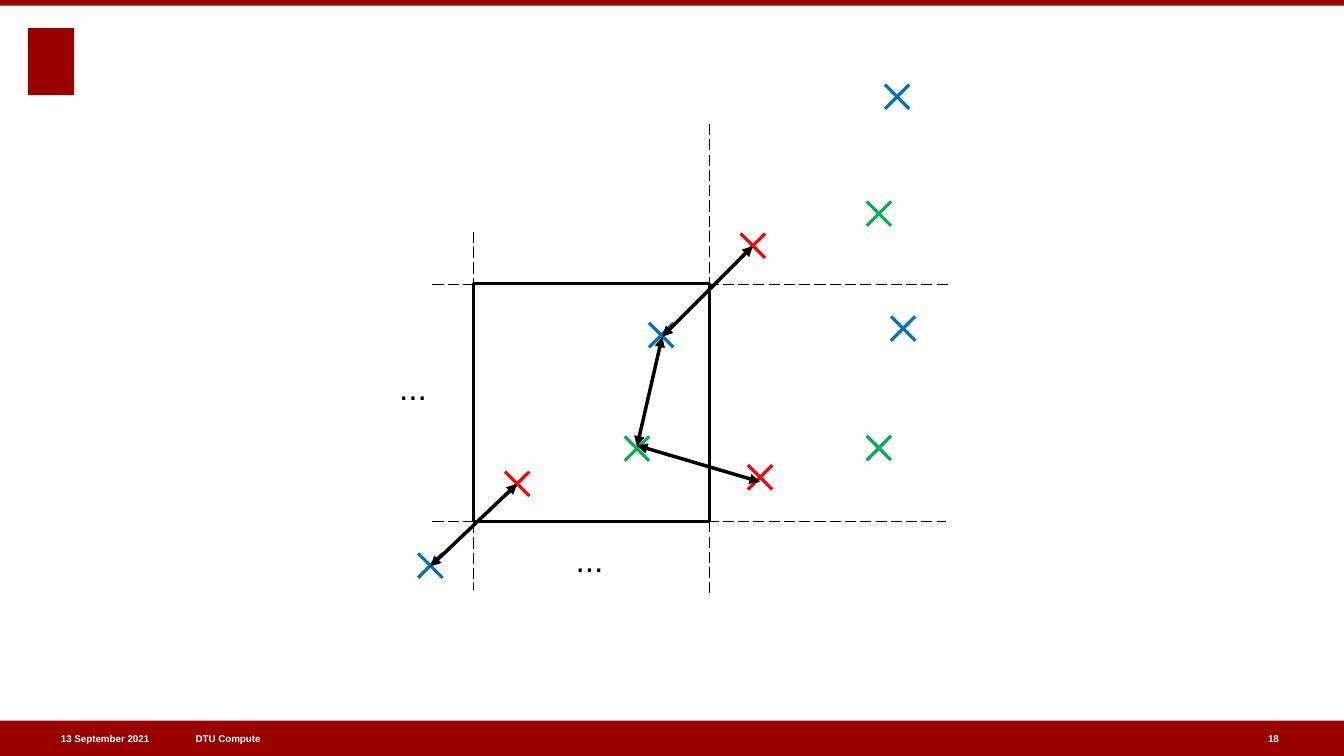
import pptx
import pptx.dml.color
import pptx.enum.dml
import pptx.enum.shapes
import pptx.enum.text
import pptx.oxml
import pptx.oxml.ns
import pptx.util

Pt = pptx.util.Pt
FONT = "Arial"
CRIMSON, WHITE, BLACK = "990000", "FFFFFF", "000000"
RED, GREEN, BLUE = "FF0000", "00B050", "0070C0"
SLIDE_WIDTH, SLIDE_HEIGHT = 960, 540
FOOTER_TOP, FOOTER_HEIGHT = 514.8, 25.2
CROSS_REACH = 8.7

# Box that repeats in every direction
CELL_LEFT, CELL_TOP, CELL_RIGHT, CELL_BOTTOM = 338.4, 202.3, 506.9, 372.6

# Centre and colour of each cross
CROSSES = [
    (472.3, 239.4, BLUE),
    (369.4, 345.6, RED),
    (455, 320.4, GREEN),
    (640.8, 69.1, BLUE),
    (537.8, 175.5, RED),
    (627.8, 152.6, GREEN),
    (645.1, 234.7, BLUE),
    (542.9, 340.9, RED),
    (627.8, 320, GREEN),
    (307.4, 404, BLUE),
]

# Dashed extensions of the cell edges
DASHED_EDGES = [
    (CELL_RIGHT, 88.6, CELL_RIGHT, 424.8),
    (308.9, CELL_BOTTOM, 675.4, CELL_BOTTOM),
    (CELL_LEFT, 165.6, CELL_LEFT, 421.2),
    (308.9, 203.2, 676.8, 203.2),
]

# Nearest-neighbour links
LINKS = [
    (307.4, 404.6, 369.4, 345.6),
    (473, 240.5, 537.8, 175.7),
    (455, 319, 473, 240.5),
    (455, 318.2, 542.9, 344.2),
]


def color(value):
    return pptx.dml.color.RGBColor.from_string(value)


def add_rectangle(shapes, left, top, width, height, fill=None, outline=None):
    kind = pptx.enum.shapes.MSO_SHAPE.RECTANGLE
    box = shapes.add_shape(kind, Pt(left), Pt(top), Pt(width), Pt(height))
    box.shadow.inherit = False
    if fill:
        box.fill.solid()
        box.fill.fore_color.rgb = color(fill)
    else:
        box.fill.background()
    if outline:
        box.line.color.rgb = color(outline)
        box.line.width = Pt(2.25)
    else:
        box.line.fill.background()


def add_line(shapes, ends, stroke, weight, dashed=False, arrows=False):
    kind = pptx.enum.shapes.MSO_CONNECTOR.STRAIGHT
    line = shapes.add_connector(kind, *[Pt(length) for length in ends])
    line.line.color.rgb = color(stroke)
    line.line.width = Pt(weight)
    if dashed:
        line.line.dash_style = pptx.enum.dml.MSO_LINE.LONG_DASH
    properties = line._element.spPr
    if arrows:
        outline = properties.find(pptx.oxml.ns.qn("a:ln"))
        for tag in ("headEnd", "tailEnd"):
            markup = f'<a:{tag} {pptx.oxml.ns.nsdecls("a")} type="triangle"/>'
            outline.append(pptx.oxml.parse_xml(markup))
    effects = f'<a:effectLst {pptx.oxml.ns.nsdecls("a")}/>'
    properties.append(pptx.oxml.parse_xml(effects))


def add_cross(shapes, x, y, stroke):
    strokes = shapes.add_group_shape().shapes
    for rise in (CROSS_REACH, -CROSS_REACH):
        ends = (x - CROSS_REACH, y - rise, x + CROSS_REACH, y + rise)
        add_line(strokes, ends, stroke, 2.25)


def add_text(shapes, text, left, top, width, height, size, ink,
             bold=False, middle=False, right=False):
    box = shapes.add_textbox(Pt(left), Pt(top), Pt(width), Pt(height))
    frame = box.text_frame
    frame.word_wrap = True
    frame.margin_left = frame.margin_right = 0
    frame.margin_top = frame.margin_bottom = 0
    if middle:
        frame.vertical_anchor = pptx.enum.text.MSO_ANCHOR.MIDDLE
    para = frame.paragraphs[0]
    para.text = text
    if right:
        para.alignment = pptx.enum.text.PP_ALIGN.RIGHT
    para.font.name = FONT
    para.font.size = Pt(size)
    para.font.bold = bold
    para.font.color.rgb = color(ink)


def add_footer_text(shapes, text, left, width, right=False):
    add_text(shapes, text, left, FOOTER_TOP, width, FOOTER_HEIGHT, 7, WHITE,
             bold=True, middle=True, right=right)


def main():
    deck = pptx.Presentation()
    deck.slide_width, deck.slide_height = Pt(SLIDE_WIDTH), Pt(SLIDE_HEIGHT)
    shapes = deck.slides.add_slide(deck.slide_layouts[6]).shapes

    # Emblem block, top band and footer
    add_rectangle(shapes, 20, 20, 33, 48, fill=CRIMSON)
    add_rectangle(shapes, 0, 0, SLIDE_WIDTH, 4, fill=CRIMSON)
    add_rectangle(shapes, 0, FOOTER_TOP, SLIDE_WIDTH, FOOTER_HEIGHT, fill=CRIMSON)
    add_footer_text(shapes, "DTU Compute", 139.7, 267.8)
    add_footer_text(shapes, "13 September 2021", 19.4, 87.2, right=True)
    add_footer_text(shapes, "18", 905.8, 33.8)

    # Periodic cell and its extended edges
    add_rectangle(shapes, CELL_LEFT, CELL_TOP, CELL_RIGHT - CELL_LEFT,
                  CELL_BOTTOM - CELL_TOP, outline=BLACK)
    for ends in DASHED_EDGES:
        add_line(shapes, ends, BLACK, 1, dashed=True)
    for left, top in ((285.1, 262.1), (411.1, 385.2)):
        add_text(shapes, "...", left, top, 52.6, 38.9, 24, BLACK)

    # Points and the links between them
    for x, y, stroke in CROSSES:
        add_cross(shapes, x, y, stroke)
    for ends in LINKS:
        add_line(shapes, ends, BLACK, 2.5, arrows=True)

    deck.save("out.pptx")


if __name__ == "__main__":
    main()
